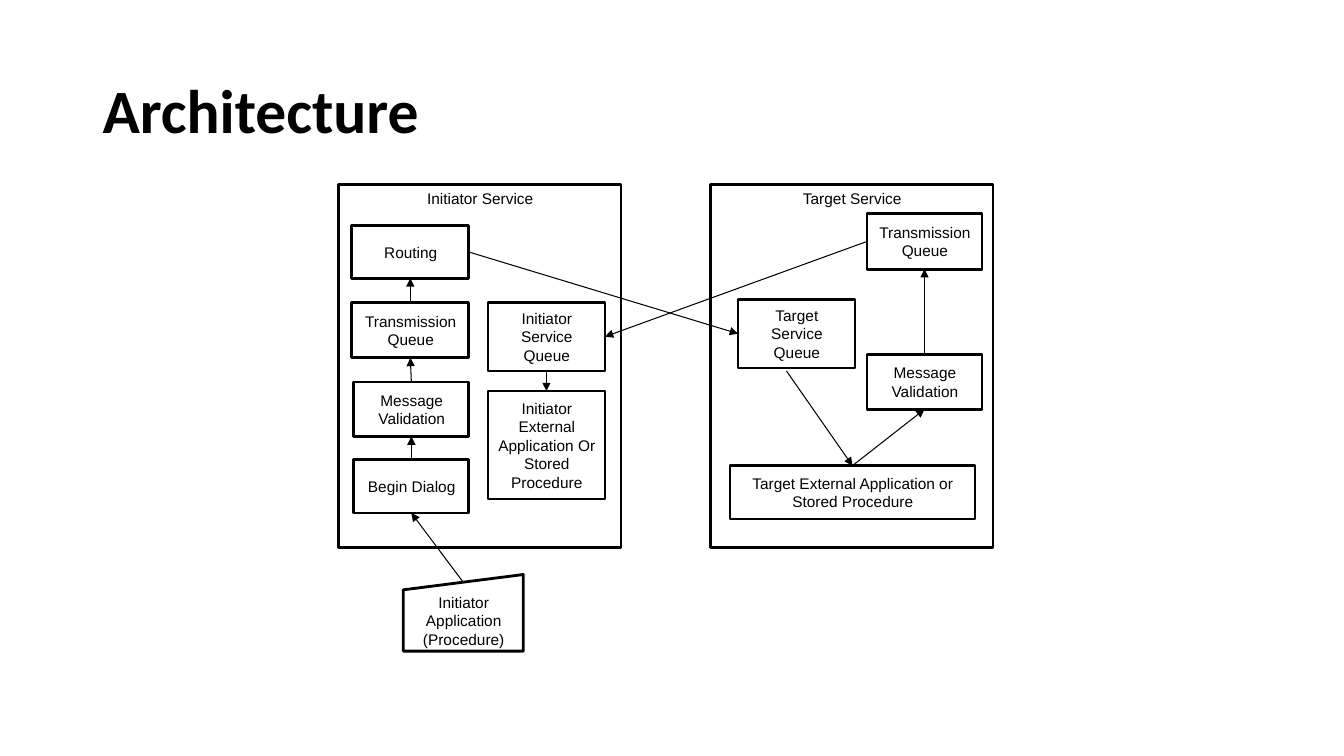
from dataclasses import dataclass

from lxml import etree
from pptx import Presentation
from pptx import util as u
from pptx.dml.color import RGBColor
from pptx.enum import shapes, text
from pptx.oxml.ns import qn

In = u.Inches
SHAPE = shapes.MSO_SHAPE
ANCHOR = text.MSO_ANCHOR
TOP, LEFT, BOTTOM, RIGHT = range(4)  # connection sites of a box


@dataclass(frozen=True)
class Theme:
    ink: RGBColor = RGBColor(0, 0, 0)
    paper: RGBColor = RGBColor(255, 255, 255)
    head_font: str = "Calibri"
    body_font: str = "Arial"
    head_size: float = 44
    body_size: float = 11
    box_line: float = 2
    arrow_line: float = 0.75


class Deck:
    def __init__(self, theme):
        self.theme = theme
        self.prs = Presentation()
        self.prs.slide_width, self.prs.slide_height = In(13.33), In(7.5)
        self.s = self.prs.slides.add_slide(self.prs.slide_layouts[6])

    def put_text(self, sp, words, font, align, frame):
        tf = sp.text_frame
        frame = dict(word_wrap=True, margin_top=In(0.05), margin_bottom=In(0.05)) | frame
        for name, value in frame.items():
            setattr(tf, name, value)
        p = tf.paragraphs[0]
        p.alignment = align
        r = p.add_run()
        r.text = words
        for name, value in font.items():
            setattr(r.font, name, value)
        r.font.color.rgb = self.theme.ink
        return p

    def title(self, words, at):
        sp = self.s.shapes.add_textbox(*map(In, at))
        font = dict(name=self.theme.head_font, size=u.Pt(self.theme.head_size), bold=True)
        p = self.put_text(sp, words, font, text.PP_ALIGN.LEFT,
                          dict(vertical_anchor=ANCHOR.MIDDLE))
        p.line_spacing = 0.9

    def box(self, words, at, kind=SHAPE.FLOWCHART_PROCESS, anchor=ANCHOR.MIDDLE):
        sp = self.s.shapes.add_shape(kind, *map(In, at))
        sp.shadow.inherit = False
        sp.fill.solid()
        sp.fill.fore_color.rgb = self.theme.paper
        sp.line.color.rgb = self.theme.ink
        sp.line.width = u.Pt(self.theme.box_line)
        font = dict(name=self.theme.body_font, size=u.Pt(self.theme.body_size))
        self.put_text(sp, words, font, text.PP_ALIGN.CENTER,
                      dict(vertical_anchor=anchor, margin_left=In(0.1),
                           margin_right=In(0.09)))
        return sp

    def arrow(self, start, start_site, end, end_site, start_at=None):
        """Join two boxes; start_at replaces the glued start with a free point."""
        x, y = map(In, start_at or (0, 0))
        c = self.s.shapes.add_connector(shapes.MSO_CONNECTOR.STRAIGHT, x, y, x, y)
        if start_at is None:
            c.begin_connect(start, start_site)
        c.end_connect(end, end_site)
        c.line.color.rgb = self.theme.ink
        c.line.width = u.Pt(self.theme.arrow_line)
        props = c.element.spPr
        etree.SubElement(props.find(qn("a:ln")), qn("a:tailEnd"), type="triangle")
        etree.SubElement(props, qn("a:effectLst"))


deck = Deck(Theme())
deck.title("Architecture", (0.92, 0.4, 11.5, 1.45))

# Service panels
for name, left in (("Initiator Service", 3.36), ("Target Service", 7.05)):
    deck.box(name, (left, 1.83, 2.8, 3.6), SHAPE.RECTANGLE, ANCHOR.TOP)

# Initiator side
application = deck.box("Initiator Application (Procedure)", (4, 5.7, 1.19, 0.76),
                       SHAPE.FLOWCHART_MANUAL_INPUT)
dialog = deck.box("Begin Dialog", (3.51, 4.56, 1.14, 0.53))
validation = deck.box("Message Validation", (3.51, 3.79, 1.14, 0.54))
transmission = deck.box("Transmission Queue", (3.49, 3, 1.16, 0.55))
routing = deck.box("Routing", (3.49, 2.24, 1.16, 0.52))
queue = deck.box("Initiator Service Queue", (4.84, 3, 1.16, 0.68))
external = deck.box("Initiator External Application Or Stored Procedure",
                    (4.84, 3.88, 1.16, 1.07))

# Target side
target_external = deck.box("Target External Application or Stored Procedure",
                           (7.24, 4.62, 2.43, 0.53))
target_validation = deck.box("Message Validation", (8.6, 3.52, 1.14, 0.54))
target_transmission = deck.box("Transmission Queue", (8.6, 2.12, 1.14, 0.55))
target_queue = deck.box("Target Service Queue", (7.32, 2.97, 1.16, 0.68))

# Message flow
deck.arrow(application, TOP, dialog, BOTTOM, start_at=(4.59, 5.77))
for lower, upper in ((dialog, validation), (validation, transmission),
                     (transmission, routing), (target_external, target_validation),
                     (target_validation, target_transmission)):
    deck.arrow(lower, TOP, upper, BOTTOM)
deck.arrow(queue, BOTTOM, external, TOP)
deck.arrow(target_queue, BOTTOM, target_external, TOP, start_at=(7.8, 3.68))
deck.arrow(routing, RIGHT, target_queue, LEFT)
deck.arrow(target_transmission, LEFT, queue, RIGHT)

deck.prs.save("out.pptx")
